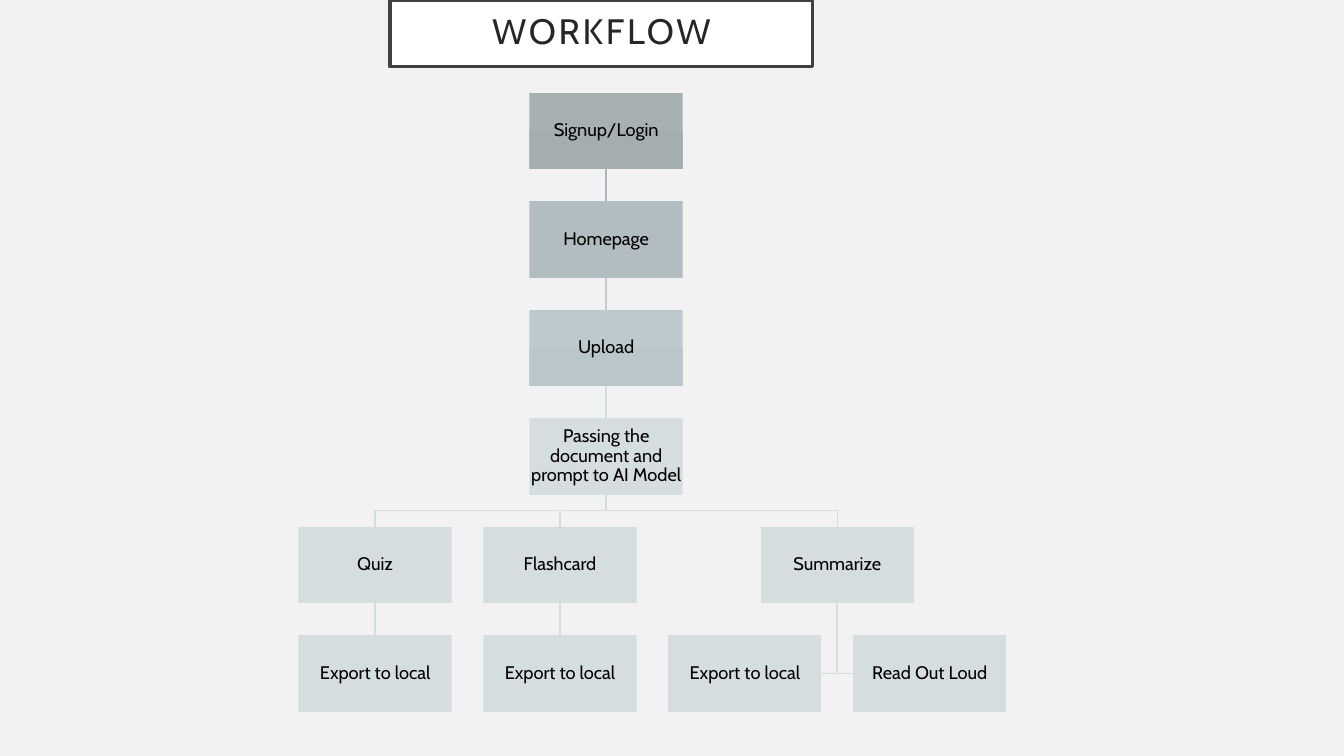
from lxml import etree
from pptx import Presentation
from pptx.dml.color import RGBColor
from pptx.enum.shapes import MSO_CONNECTOR, MSO_SHAPE
from pptx.enum.text import MSO_ANCHOR, PP_ALIGN
from pptx.oxml.ns import qn
from pptx.util import Inches, Pt

FONT = "Cabin"
BACKGROUND = RGBColor(0xF2, 0xF2, 0xF2)
WHITE = RGBColor(0xFF, 0xFF, 0xFF)
BLACK = RGBColor(0x00, 0x00, 0x00)
TITLE_TEXT = RGBColor(0x26, 0x26, 0x26)
TITLE_LINE = RGBColor(0x40, 0x40, 0x40)
SIGNUP = (RGBColor(0xA7, 0xB1, 0xB4), RGBColor(0xA4, 0xAE, 0xB1))
HOME = (RGBColor(0xB1, 0xBD, 0xC0), RGBColor(0xAE, 0xBB, 0xBE))
UPLOAD = (RGBColor(0xBC, 0xC9, 0xCD), RGBColor(0xB9, 0xC7, 0xCB))
PALE = (RGBColor(0xD6, 0xDD, 0xE0), RGBColor(0xD4, 0xDC, 0xDF))
LINK_1 = RGBColor(0xA9, 0xB9, 0xBE)
LINK_2 = RGBColor(0xC0, 0xCB, 0xCF)
LINK_PALE = RGBColor(0xD5, 0xDC, 0xDE)

LEFT, TOP = 2.96, 0.92
BOX_W, BOX_H = 1.52, 0.76
COL_PITCH, ROW_PITCH = 5.5 / 3, 5.38 / 5

# key: (text, column, row, gradient); columns may be fractional
BOXES = {
    "signup": ("Signup/Login", 1.25, 0, SIGNUP),
    "home": ("Homepage", 1.25, 1, HOME),
    "upload": ("Upload", 1.25, 2, UPLOAD),
    "model": ("Passing the document and prompt to AI Model", 1.25, 3, PALE),
    "quiz": ("Quiz", 0, 4, PALE),
    "flashcard": ("Flashcard", 1, 4, PALE),
    "summarize": ("Summarize", 2.5, 4, PALE),
    "quiz export": ("Export to local", 0, 5, PALE),
    "flashcard export": ("Export to local", 1, 5, PALE),
    "summary export": ("Export to local", 2, 5, PALE),
    "read": ("Read Out Loud", 3, 5, PALE),
}
STRAIGHT_LINKS = [
    ("signup", "home", LINK_1),
    ("home", "upload", LINK_2),
    ("upload", "model", LINK_PALE),
    ("quiz", "quiz export", LINK_PALE),
    ("flashcard", "flashcard export", LINK_PALE),
]


def add_box(left, top, width, height, text, size, color, inset):
    s = slide.shapes.add_shape(MSO_SHAPE.RECTANGLE, Inches(left), Inches(top),
                               Inches(width), Inches(height))
    s.shadow.inherit = False
    tf = s.text_frame
    tf.word_wrap = True
    tf.vertical_anchor = MSO_ANCHOR.MIDDLE
    tf.margin_left = tf.margin_right = Inches(inset)
    tf.margin_top = tf.margin_bottom = Inches(inset)
    p = tf.paragraphs[0]
    p.text = text
    p.alignment = PP_ALIGN.CENTER
    p.line_spacing = 0.9
    p.font.name = FONT
    p.font.size = Pt(size)
    p.font.color.rgb = color
    return s


def add_elbow(points):
    """Draw an open line through points given in EMU."""
    builder = slide.shapes.build_freeform(*points[0])
    builder.add_line_segments(points[1:], close=False)
    s = builder.convert_to_shape()
    s.shadow.inherit = False
    s.fill.background()
    s.line.color.rgb = LINK_PALE
    s.line.width = Pt(1)


prs = Presentation()
prs.slide_width, prs.slide_height = Inches(13.33), Inches(7.5)
slide = prs.slides.add_slide(prs.slide_layouts[6])
slide.background.fill.solid()
slide.background.fill.fore_color.rgb = BACKGROUND

# Steps
boxes = {}
for key, (text, col, row, gradient) in BOXES.items():
    s = add_box(LEFT + col * COL_PITCH, TOP + row * ROW_PITCH, BOX_W, BOX_H,
                text, 13, BLACK, 0.01)
    s.fill.gradient()
    s.fill.gradient_angle = 270
    for stop, color in zip(s.fill.gradient_stops, gradient):
        stop.color.rgb = color
    s.line.fill.background()
    boxes[key] = s

# Links straight down
for start, end, color in STRAIGHT_LINKS:
    link = slide.shapes.add_connector(MSO_CONNECTOR.STRAIGHT, 0, 0, 0, 0)
    link.begin_connect(boxes[start], 2)
    link.end_connect(boxes[end], 0)
    link.line.color.rgb = color
    link.line.width = Pt(1)
    etree.SubElement(link._element.spPr, qn("a:effectLst"))

# Branches from the model to the three outputs
model = boxes["model"]
x1, y1 = model.left + model.width // 2, model.top + model.height
for key in ("quiz", "flashcard", "summarize"):
    s = boxes[key]
    x2, y2 = s.left + s.width // 2, s.top
    y_mid = (y1 + y2) // 2
    add_elbow([(x1, y1), (x1, y_mid), (x2, y_mid), (x2, y2)])

# Branches from the summary to the boxes on either side
summary, export, read = boxes["summarize"], boxes["summary export"], boxes["read"]
x1, y1 = summary.left + summary.width // 2, summary.top + summary.height
y2 = read.top + read.height // 2
for x2 in (export.left + export.width, read.left):
    add_elbow([(x1, y1), (x1, y2), (x2, y2)])

# Title
title = add_box(3.87, 0, 4.19, 0.66, "WORKFLOW", 25.2, TITLE_TEXT, 0.2)
title.fill.solid()
title.fill.fore_color.rgb = WHITE
title.line.color.rgb = TITLE_LINE
title.line.width = Pt(2.5)
r = title.text_frame.paragraphs[0].runs[0]
r.font._element.set("spc", "200")

prs.save("out.pptx")
